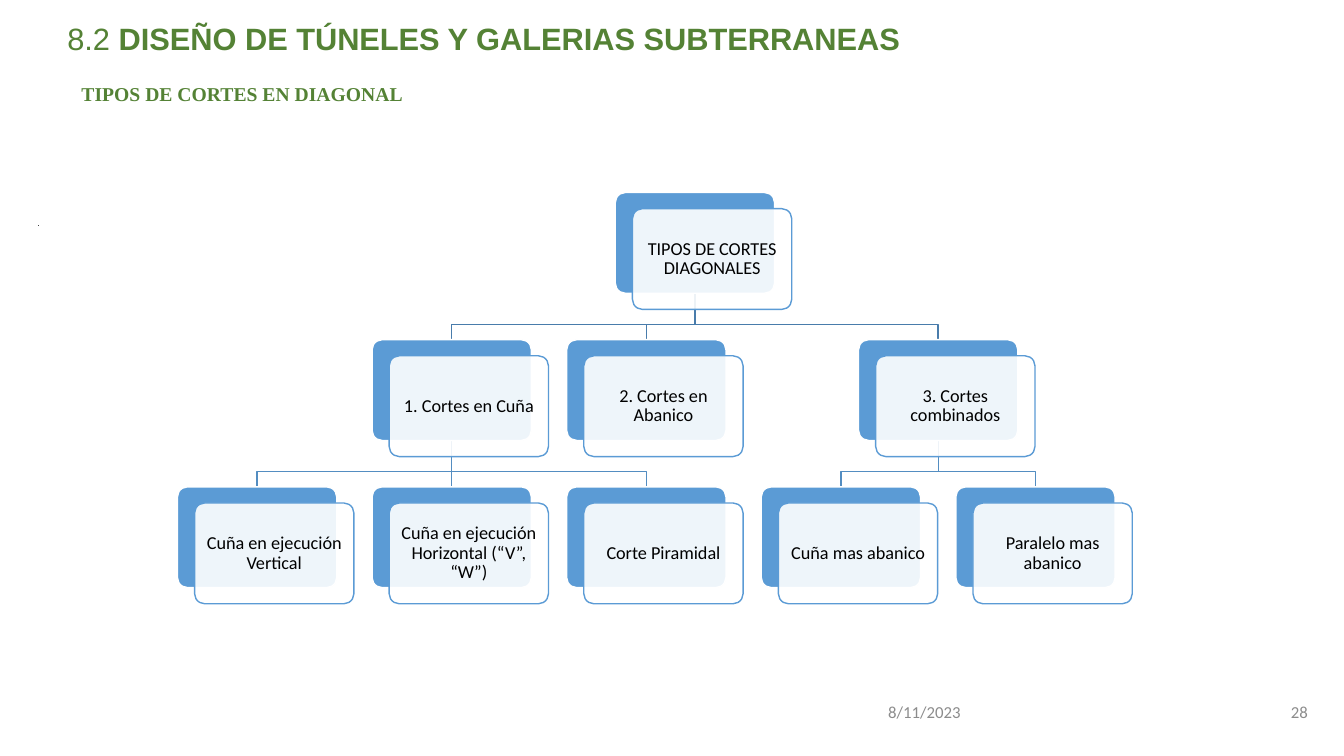
from lxml import etree
from pptx import Presentation
from pptx import util as u
from pptx.dml.color import RGBColor
from pptx.enum import shapes, text
from pptx.oxml.ns import qn

TITLE = [("8.2 ", False), ("DISEÑO DE TÚNELES Y GALERIAS SUBTERRANEAS", True)]
TOPIC = [("TIPOS DE CORTES EN DIAGONAL", True)]
DATE = [("8/11/2023", False)]
PAGE = [("28", False)]

NODES = {
    "root": ("TIPOS DE CORTES DIAGONALES", 2.25, 0, None),
    "wedge": ("1. Cortes en Cuña", 1, 1, "root"),
    "fan": ("2. Cortes en Abanico", 2, 1, "root"),
    "mixed": ("3. Cortes combinados", 3.5, 1, "root"),
    "upright": ("Cuña en ejecución Vertical", 0, 2, "wedge"),
    "level": ("Cuña en ejecución Horizontal (“V”, “W”)", 1, 2, "wedge"),
    "pyramid": ("Corte Piramidal", 2, 2, "wedge"),
    "both": ("Cuña mas abanico", 3, 2, "mixed"),
    "side": ("Paralelo mas abanico", 4, 2, "mixed"),
}

THEME = {
    "green": "548235", "gray": "8C8C8C", "black": "000000", "white": "FFFFFF",
    "blue": "5B9BD5", "links": ["497CAB", "538DC1"],
    "head": 22, "topic": 14, "node": 13, "foot": 12,
    "sans": "Arial", "serif": "Times New Roman", "body": "Calibri",
}

WIDE, HIGH = 13.33, 7.5
LEFT, TOP = 1.76, 1.91
COL, ROW = 1.93, 1.46
CARD_W, CARD_H = 1.58, 1.0
SHIFT_X, SHIFT_Y = 0.17, 0.16
DROP = 0.31

deck = Presentation()
deck.slide_width, deck.slide_height = u.Inches(WIDE), u.Inches(HIGH)
slide = deck.slides.add_slide(deck.slide_layouts[6])
parts = slide.shapes


def color(name):
    return RGBColor.from_string(THEME.get(name, name))


def write(frame, runs, size, font, ink, align=text.PP_ALIGN.LEFT, pad=None,
          anchor=text.MSO_ANCHOR.TOP, space=None, after=None, hang=None):
    frame.word_wrap = True
    frame.vertical_anchor = anchor
    if pad is not None:
        frame.margin_left = frame.margin_right = u.Inches(pad)
        frame.margin_top = frame.margin_bottom = u.Inches(pad)
    para = frame.paragraphs[0]
    para.alignment = align
    if space:
        para.line_spacing = space
    if after:
        para.space_after = u.Pt(after)
    if hang:
        props = para._p.get_or_add_pPr()
        props.set("marL", str(u.Inches(hang[0])))
        props.set("indent", str(u.Inches(hang[1])))
    for words, bold in runs:
        run = para.add_run()
        run.text = words
        run.font.size = u.Pt(THEME[size])
        run.font.name = THEME[font]
        run.font.bold = bold
        run.font.color.rgb = color(ink)


def label(box, runs, **style):
    frame = parts.add_textbox(*map(u.Inches, box)).text_frame
    write(frame, runs, **style)


def card(x, y, line, alpha=None):
    shape = parts.add_shape(shapes.MSO_SHAPE.ROUNDED_RECTANGLE,
                            *map(u.Inches, (x, y, CARD_W, CARD_H)))
    shape.adjustments[0] = 0.1
    shape.shadow.inherit = False
    shape.fill.solid()
    shape.fill.fore_color.rgb = color("white" if alpha else "blue")
    if alpha:
        tint = shape.fill._xPr.find(qn("a:solidFill"))[0]
        etree.SubElement(tint, qn("a:alpha")).set("val", str(alpha * 1000))
    shape.line.color.rgb = color(line)
    shape.line.width = u.Pt(1)
    return shape


def place(key):
    _, col, row, _ = NODES[key]
    return LEFT + col * COL, TOP + row * ROW


def link(key, boss):
    (x1, y1), (x2, y2) = place(boss), place(key)
    x1, x2 = x1 + CARD_W / 2, x2 + CARD_W / 2
    y1 += CARD_H
    if x1 == x2:
        line = parts.add_connector(shapes.MSO_CONNECTOR.STRAIGHT,
                                   *map(u.Inches, (x1, y1, x2, y2)))
        etree.SubElement(line._element.spPr, qn("a:effectLst"))
        joins.append((line, boss, key))
    else:
        bend = y1 + DROP
        path = parts.build_freeform(u.Inches(x1), u.Inches(y1), scale=1.0)
        path.add_line_segments([(u.Inches(x), u.Inches(y)) for x, y in
                                ((x1, bend), (x2, bend), (x2, y2))], close=False)
        line = path.convert_to_shape()
        line.fill.background()
        line.shadow.inherit = False
    line.line.color.rgb = color(THEME["links"][NODES[boss][2]])
    line.line.width = u.Pt(1)


label((0.71, 0.76, 6.28, 0.34), TOPIC, size="topic", font="serif", ink="green")
dot = parts.add_shape(shapes.MSO_SHAPE.RECTANGLE, u.Inches(0.38), u.Inches(2.24), 0, 0)
dot.shadow.inherit = False
dot.fill.solid()
dot.fill.fore_color.rgb = color("blue")
dot.line.color.rgb = color("black")
dot.line.width = u.Pt(0.75)

foot = dict(size="foot", font="body", ink="gray", anchor=text.MSO_ANCHOR.MIDDLE)
label((8.71, 6.86, 3.58, 0.4), DATE, **foot)
label((12.37, 6.86, 0.7, 0.4), PAGE, align=text.PP_ALIGN.RIGHT, **foot)
label((0.37, 0.15, 9.91, 0.47), TITLE, size="head", font="sans", ink="green",
      after=6, hang=(0.69, -0.49))

joins, backs = [], {}
for key, node in NODES.items():
    if node[3]:
        link(key, node[3])

for key, node in NODES.items():
    x, y = place(key)
    backs[key] = card(x, y, "white")
    front = card(x + SHIFT_X, y + SHIFT_Y, "blue", alpha=90)
    write(front.text_frame, [(node[0], False)], size="node", font="body",
          ink="black", align=text.PP_ALIGN.CENTER, pad=0.08,
          anchor=text.MSO_ANCHOR.MIDDLE, space=0.9)

for line, boss, key in joins:
    line.begin_connect(backs[boss], 2)
    line.end_connect(backs[key], 0)

deck.save("out.pptx")
